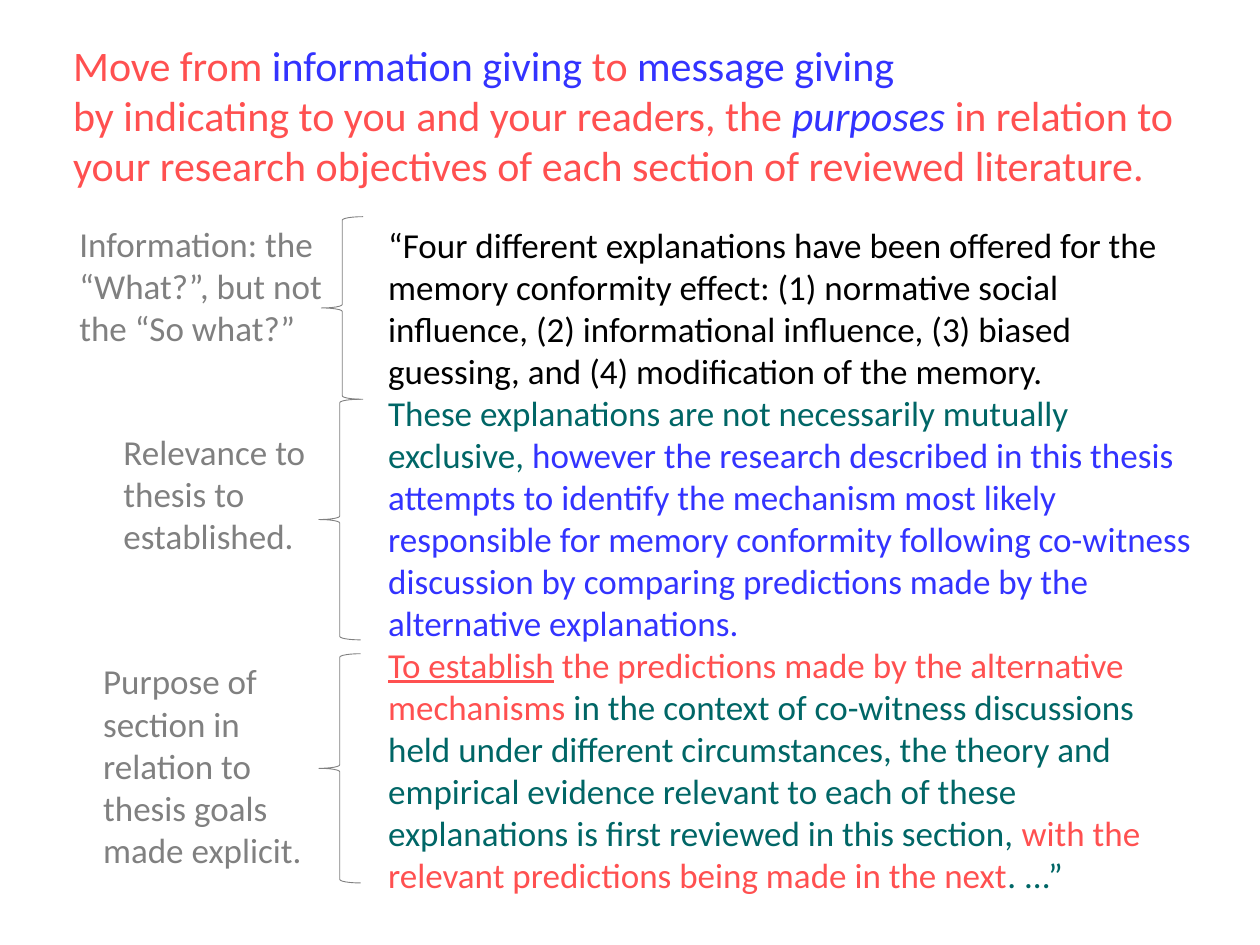
from dataclasses import dataclass

from lxml.etree import SubElement
from pptx import Presentation
from pptx.dml.color import RGBColor
from pptx.enum.shapes import MSO_SHAPE
from pptx.enum.text import MSO_ANCHOR, MSO_AUTO_SIZE, PP_ALIGN
from pptx.oxml.ns import qn
from pptx.util import Cm, Pt


@dataclass(frozen=True)
class Theme:
    font: str = "Calibri"
    title_size: Pt = Pt(24)
    text_size: Pt = Pt(20)
    line_width: Pt = Pt(0.5)
    black: RGBColor = RGBColor(0, 0, 0)
    red: RGBColor = RGBColor(0xFF, 0x50, 0x50)
    blue: RGBColor = RGBColor(0x33, 0x33, 0xFF)
    teal: RGBColor = RGBColor(0x00, 0x66, 0x66)
    gray: RGBColor = RGBColor(0x80, 0x80, 0x80)


theme = Theme()


def place(shape, left, top, width, height):
    shape.left, shape.top = Cm(left), Cm(top)
    shape.width, shape.height = Cm(width), Cm(height)


def write(shape, paragraphs, size):
    frame = shape.text_frame
    frame.word_wrap = True
    frame.auto_size = MSO_AUTO_SIZE.NONE
    frame.vertical_anchor = MSO_ANCHOR.TOP
    for index, runs in enumerate(paragraphs):
        paragraph = frame.add_paragraph() if index else frame.paragraphs[0]
        properties = paragraph._p.get_or_add_pPr()
        properties.set("marL", "0")
        properties.set("indent", "0")
        SubElement(properties, qn("a:buNone"))
        paragraph.alignment = PP_ALIGN.LEFT
        paragraph.space_before = Pt(0)
        for text, color, *styles in runs:
            run = paragraph.add_run()
            run.text = text
            run.font.name = theme.font
            run.font.size = size
            run.font.color.rgb = color
            for style in styles:
                setattr(run.font, style, True)


presentation = Presentation()
presentation.slide_width, presentation.slide_height = Cm(25.4), Cm(19.05)
slide = presentation.slides.add_slide(presentation.slide_layouts[1])

title = slide.shapes.title
place(title, 1.22, 0.66, 22.94, 3.33)
write(title, [
    [("Move from ", theme.red), ("information giving ", theme.blue),
     ("to ", theme.red), ("message giving", theme.blue)],
    [("by indicating to you and your readers, the ", theme.red),
     ("purposes ", theme.blue, "italic"),
     ("in relation to your research objectives of each section of reviewed literature.", theme.red)],
], theme.title_size)

quotation = slide.placeholders[1]
place(quotation, 7.57, 4.37, 16.84, 13.94)
write(quotation, [
    [("“Four different explanations have been offered for the memory conformity effect: "
      "(1) normative social influence, (2) informational influence, (3) biased guessing, "
      "and (4) modification of the memory.", theme.black)],
    [("These explanations are not necessarily mutually exclusive, ", theme.teal),
     ("however the research described in this thesis attempts to identify the mechanism "
      "most likely responsible for memory conformity following co-witness discussion by "
      "comparing predictions made by the alternative explanations.", theme.blue)],
    [("To establish", theme.red, "underline"),
     (" the predictions made by the alternative mechanisms ", theme.red),
     ("in the context of co-witness discussions held under different circumstances, the "
      "theory and empirical evidence relevant to each of these explanations is first "
      "reviewed in this section, ", theme.teal),
     ("with the relevant predictions being made in the next", theme.red),
     (". ...”", theme.teal)],
], theme.text_size)

annotations = [
    ("Information: the “What?”, but not the “So what?”",
     (1.35, 4.37, 5.97, 2.82), (6.48, 4.37, 0.84, 3.68)),
    ("Relevance to thesis to established.",
     (2.24, 8.56, 4.6, 2.82), (6.43, 8.05, 0.84, 4.85)),
    ("Purpose of section in relation to thesis goals made explicit.",
     (1.83, 13.18, 4.6, 4.52), (6.43, 13.18, 0.84, 4.62)),
]
for text, label_box, brace_box in annotations:
    brace = slide.shapes.add_shape(MSO_SHAPE.LEFT_BRACE, *map(Cm, brace_box))
    brace.shadow.inherit = False
    brace.fill.background()
    brace.line.color.rgb = theme.gray
    brace.line.width = theme.line_width
    label = slide.shapes.add_textbox(*map(Cm, label_box))
    write(label, [[(text, theme.gray)]], theme.text_size)

presentation.save("out.pptx")
